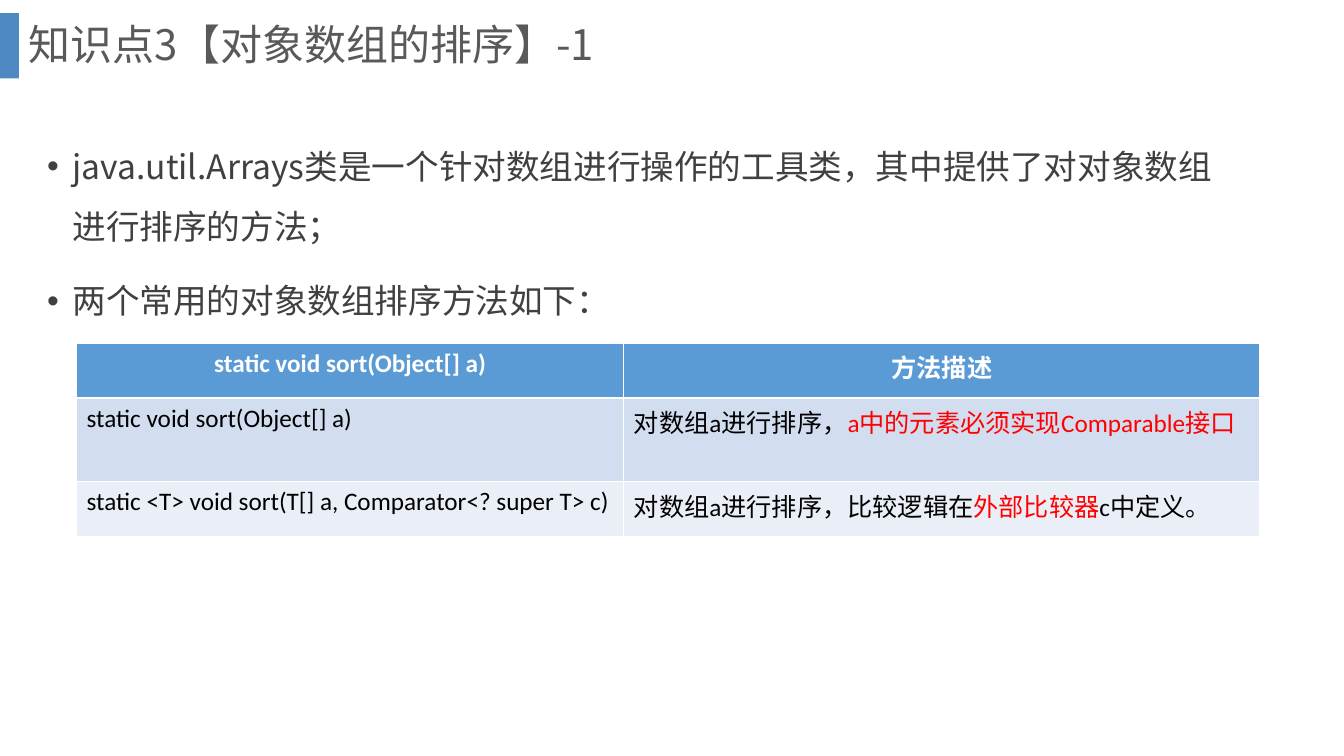
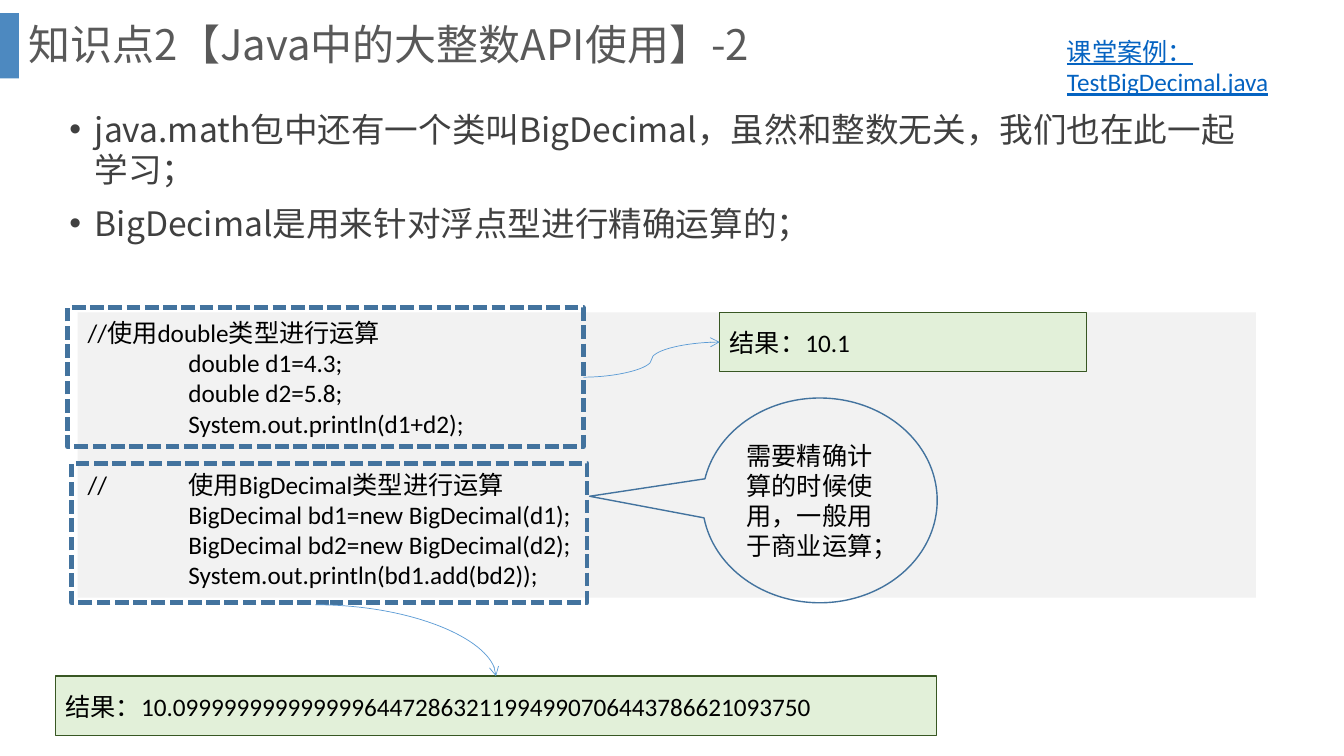
"""Build two Java teaching slides about sorting object arrays and BigDecimal."""
from lxml.etree import SubElement
from pptx import Presentation
from pptx.dml.color import RGBColor
from pptx.enum.dml import MSO_LINE
from pptx.enum.shapes import MSO_CONNECTOR, MSO_SHAPE
from pptx.enum.text import MSO_ANCHOR, PP_ALIGN
from pptx.oxml.ns import qn
from pptx.util import Cm, Pt

NOTO, CALIBRI = "Noto Sans CJK SC", "Calibri"
BLACK, RED, GREY = "000000", "FF0000", "404040"
BLUE, NAVY = "5B9BD5", "43739E"
rgb = RGBColor.from_string


def write(tf, lines, size=18, color=BLACK, font=CALIBRI, east=CALIBRI, bold=False,
          underline=False, align=PP_ALIGN.LEFT, anchor=MSO_ANCHOR.TOP,
          spacing=None, before=0, bullet=False):
    """Fill a text frame; a line is a string or a list of (text, colour) runs."""
    tf.word_wrap = True
    tf.vertical_anchor = anchor
    for i, line in enumerate(lines):
        p = tf.add_paragraph() if i else tf.paragraphs[0]
        p.alignment = align
        pPr = p._p.get_or_add_pPr()
        pPr.set("defTabSz", str(Cm(2.54)))
        if bullet:
            pPr.set("marL", str(Cm(0.64)))
            pPr.set("indent", str(-Cm(0.64)))
            SubElement(pPr, qn("a:buFont"), typeface="Arial")
            SubElement(pPr, qn("a:buChar"), char="•")
        if spacing:
            p.line_spacing = spacing
        if i and before:
            p.space_before = Pt(before)
        for words, tint in [(line, color)] if isinstance(line, str) else line:
            r = p.add_run()
            r.text = words
            r.font.size = Pt(size)
            r.font.name = font
            r.font.bold = bold
            r.font.underline = underline
            r.font.color.rgb = rgb(tint)
            SubElement(r._r.get_or_add_rPr(), qn("a:ea"), typeface=east)


def box(s, kind, at, fill=None, line=None, width=1):
    """Add a preset shape without shadow."""
    sp = s.shapes.add_shape(kind, *map(Cm, at))
    sp.shadow.inherit = False
    if fill:
        sp.fill.solid()
        sp.fill.fore_color.rgb = rgb(fill)
    else:
        sp.fill.background()
    if line:
        sp.line.color.rgb = rgb(line)
        sp.line.width = Pt(width)
    else:
        sp.line.fill.background()
    return sp


prs = Presentation()
prs.slide_width, prs.slide_height = Cm(33.87), Cm(19.05)

pages = [
    ("知识点3【对象数组的排序】-1", (0.94, 3.05, 30.61, 3.3), 43,
     ["java.util.Arrays类是一个针对数组进行操作的工具类，其中提供了对对象数组进行排序的方法；",
      "两个常用的对象数组排序方法如下："]),
    ("知识点2【Java中的大整数API使用】-2", (1.5, 2.62, 30.61, 4.88), 28.6,
     ["java.math包中还有一个类叫BigDecimal，虽然和整数无关，我们也在此一起学习；",
      "BigDecimal是用来针对浮点型进行精确运算的；"]),
]
for title, body_at, spacing, points in pages:
    s = prs.slides.add_slide(prs.slide_layouts[6])
    band = box(s, MSO_SHAPE.RECTANGLE, (0, 0.33, 0.48, 1.65), "2E75B6")
    color = band._element.spPr.find(qn("a:solidFill"))[0]
    SubElement(color, qn("a:alpha"), val="85000")
    tb = s.shapes.add_textbox(Cm(0.48), Cm(0), Cm(32.16), Cm(2.36))
    write(tb.text_frame, [title], 30, "595959", NOTO, NOTO,
          anchor=MSO_ANCHOR.MIDDLE, spacing=0.9)
    tb = s.shapes.add_textbox(*map(Cm, body_at))
    write(tb.text_frame, points, 24, GREY, NOTO, NOTO,
          spacing=Pt(spacing), before=10, bullet=True)

sorting, decimals = prs.slides

rows = [
    ["static void sort(Object[] a)", "方法描述"],
    ["static void sort(Object[] a)",
     [("对数组a进行排序，", BLACK), ("a中的元素必须实现Comparable接口", RED)]],
    ["static <T> void sort(T[] a, Comparator<? super T> c)",
     [("对数组a进行排序，比较逻辑在", BLACK), ("外部比较器", RED), ("c中定义。", BLACK)]],
]
table = sorting.shapes.add_table(3, 2, Cm(1.93), Cm(8.66), Cm(29.82), Cm(4.85)).table
for col, width in zip(table.columns, (13.79, 16.03)):
    col.width = Cm(width)
for row, height in zip(table.rows, (1.37, 2.11, 1.37)):
    row.height = Cm(height)
for i, (row, fill) in enumerate(zip(rows, (BLUE, "D2DEEF", "EAEFF7"))):
    for j, content in enumerate(row):
        cell = table.cell(i, j)
        cell.fill.solid()
        cell.fill.fore_color.rgb = rgb(fill)
        write(cell.text_frame, [content], east=NOTO, bold=i == 0,
              color=BLACK if i else "FFFFFF",
              align=PP_ALIGN.LEFT if i else PP_ALIGN.CENTER)

s = decimals
code = box(s, MSO_SHAPE.RECTANGLE, (1.96, 7.87, 29.69, 7.19), "F2F2F2")
write(code.text_frame, [
    "//使用double类型进行运算",
    "\tdouble d1=4.3;",
    "\tdouble d2=5.8;",
    "\tSystem.out.println(d1+d2);",
    "//\t使用BigDecimal类型进行运算",
    "\tBigDecimal bd1=new BigDecimal(d1);",
    "\tBigDecimal bd2=new BigDecimal(d2);",
    "\tSystem.out.println(bd1.add(bd2));",
])
code.text_frame.paragraphs[4].space_before = Pt(22)

tb = s.shapes.add_textbox(Cm(26.64), Cm(0.79), Cm(5.79), Cm(1.8))
write(tb.text_frame, ["课堂案例：TestBigDecimal.java"], color="0563C1", underline=True)

results = []
for at, value in [
    ((18.14, 7.87, 9.25, 1.5), "10.1"),
    ((1.4, 17.04, 22.2, 1.5), "10.09999999999999964472863211994990706443786621093750"),
]:
    sp = box(s, MSO_SHAPE.RECTANGLE, at, "E2F0D9", "385723")
    write(sp.text_frame, ["结果：" + value], anchor=MSO_ANCHOR.MIDDLE)
    results.append(sp)

frames = []
for left, top in [(1.7, 7.75), (1.8, 11.68)]:
    sp = box(s, MSO_SHAPE.RECTANGLE, (left, top, 13, 3.51), line=NAVY, width=3.25)
    sp.line.dash_style = MSO_LINE.SQUARE_DOT
    frames.append(sp)

arrows = [s.shapes.add_connector(MSO_CONNECTOR.CURVE, *map(Cm, ends))
          for ends in [(14.7, 9.5, 18.14, 8.62), (7.95, 15.24, 12.5, 17.04)]]
arrows[0].begin_connect(frames[0], 3)
arrows[0].end_connect(results[0], 1)
arrows[1].end_connect(results[1], 0)
arrows[1]._element.spPr.find(qn("a:prstGeom")).set("prst", "curvedConnector2")
for arrow in arrows:
    arrow.line.color.rgb = rgb(BLUE)
    arrow.line.width = Pt(0.5)
    SubElement(arrow.line._get_or_add_ln(), qn("a:tailEnd"), type="arrow")
    SubElement(arrow._element.spPr, qn("a:effectLst"))

callout = box(s, MSO_SHAPE.OVAL_CALLOUT, (17.7, 10.03, 5.92, 5.16), line=NAVY)
callout.adjustments[0], callout.adjustments[1] = -0.98, -0.02
write(callout.text_frame, ["需要精确计算的时候使用，一般用于商业运算；"], anchor=MSO_ANCHOR.MIDDLE)

prs.save("out.pptx")
